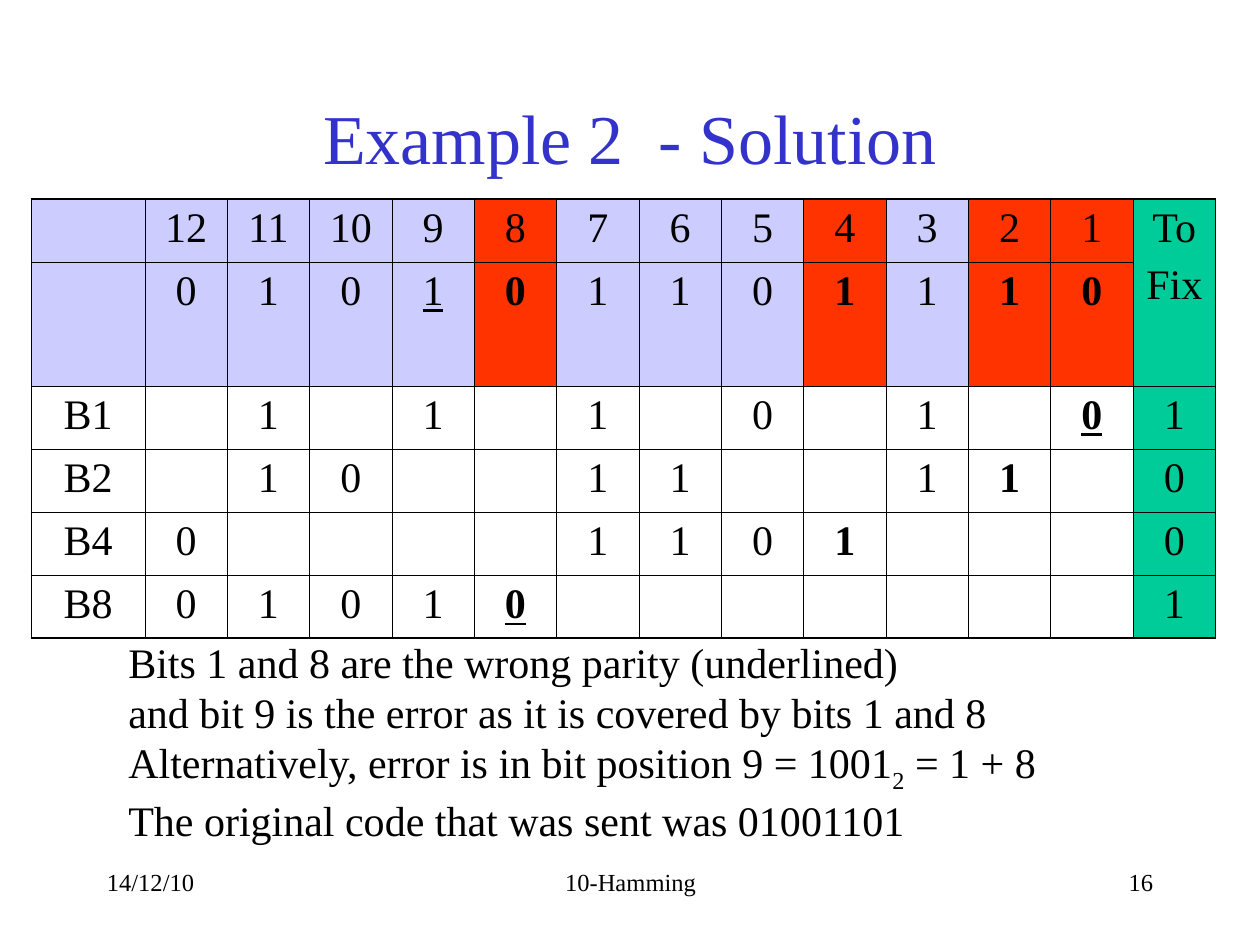
import lxml.etree
import pptx
import pptx.dml.color
import pptx.enum.text
import pptx.oxml.ns
import pptx.util

Inches = pptx.util.Inches
Pt = pptx.util.Pt
ALIGN = pptx.enum.text.PP_ALIGN
ANCHOR = pptx.enum.text.MSO_ANCHOR

FONT = "Times New Roman"
BLACK, TITLE_BLUE = "000000", "3333CC"
DATA_FILL, PARITY_FILL, FIX_FILL = "CCCCFF", "FF3300", "00CC99"
THIN, THICK = 0.45, 1.08

# One entry per column: row label, bits 12 to 1, parity result
CODE_ROWS = [
    ["", *map(str, range(12, 0, -1)), "To\nFix"],
    ["", *"010101101110", ""],
    ["B1", "", "1", "", "1", "", "1", "", "0", "", "1", "", "0", "1"],
    ["B2", "", "1", "0", "", "", "1", "1", "", "", "1", "1", "", "0"],
    ["B4", "0", "", "", "", "", "1", "1", "0", "1", "", "", "", "0"],
    ["B8", "0", "1", "0", "1", "0", "", "", "", "", "", "", "", "1"],
]
PARITY_COLUMNS = {13 - bit for bit in (8, 4, 2, 1)}
FIX_COLUMN = 13
UNDERLINED = {(1, 4), (2, 12), (5, 5)}  # wrong bit 9, wrong parity bits 1 and 8

EXPLANATION = [
    ["Bits 1 and 8 are the wrong parity (underlined)"],
    ["and bit 9 is the error as it is covered by bits 1 and 8"],
    ["Alternatively, error is in bit position 9 = 1001", "2", " = 1 + 8"],
    ["The original code that was sent was 01001101"],
]


def rgb(hex_colour):
    return pptx.dml.color.RGBColor.from_string(hex_colour)


def add_text(paragraph, text, size=24, colour=BLACK, align=ALIGN.LEFT,
             bold=False, underline=False, subscript=False):
    paragraph.alignment = align
    run = paragraph.add_run()
    run.text = text
    font = run.font
    font.name, font.size = FONT, Pt(size)
    font.bold, font.underline = bold, underline
    font.color.rgb = rgb(colour)
    if subscript:
        run._r.get_or_add_rPr().set("baseline", "-25000")


def add_box(slide, left, top, width, height, wrap=True):
    box = slide.shapes.add_textbox(Inches(left), Inches(top), Inches(width), Inches(height))
    box.text_frame.word_wrap = wrap
    return box.text_frame


def set_borders(cell, **widths):
    properties = cell._tc.get_or_add_tcPr()
    for side, width in widths.items():
        line = lxml.etree.SubElement(
            properties, pptx.oxml.ns.qn("a:ln" + side), w=str(int(Pt(width))))
        fill = lxml.etree.SubElement(line, pptx.oxml.ns.qn("a:solidFill"))
        lxml.etree.SubElement(fill, pptx.oxml.ns.qn("a:srgbClr"), val=BLACK)


def cell_fill(row, column):
    if column == FIX_COLUMN:
        return FIX_FILL
    if row > 1:
        return None
    return PARITY_FILL if column in PARITY_COLUMNS else DATA_FILL


def format_cell(cell, row, column):
    # Borders come before the fill in the cell properties
    set_borders(cell,
                L=THICK if column == 0 else THIN,
                R=THICK if column == FIX_COLUMN else THIN,
                T=THICK if row == 0 else THIN,
                B=THICK if row == len(CODE_ROWS) - 1 else THIN)
    fill = cell_fill(row, column)
    if fill:
        cell.fill.solid()
        cell.fill.fore_color.rgb = rgb(fill)
    else:
        cell.fill.background()


def add_code_table(slide):
    row_count, column_count = len(CODE_ROWS), len(CODE_ROWS[0])
    table = slide.shapes.add_table(row_count, column_count, Inches(0.25), Inches(1.58),
                                   Inches(9.4), Inches(3.48)).table
    table.first_row = table.horz_banding = False
    for index, column in enumerate(table.columns):
        column.width = Inches(0.9) if index == 0 else Inches(8.5 / (column_count - 1))
    for index, row in enumerate(table.rows):
        row.height = Inches(0.98 if index == 1 else 0.5)
    table.cell(0, FIX_COLUMN).merge(table.cell(1, FIX_COLUMN))

    for r, values in enumerate(CODE_ROWS):
        for c, value in enumerate(values):
            cell = table.cell(r, c)
            format_cell(cell, r, c)
            for index, line in enumerate(value.split("\n") if value else []):
                frame = cell.text_frame
                paragraph = frame.add_paragraph() if index else frame.paragraphs[0]
                if index:
                    paragraph.space_before = Pt(6)
                add_text(paragraph, line, align=ALIGN.CENTER,
                         bold=r > 0 and c in PARITY_COLUMNS,
                         underline=(r, c) in UNDERLINED)


def add_title(slide):
    title = slide.shapes.title
    title.left, title.top = Inches(0.75), Inches(0.67)
    title.width, title.height = Inches(8.5), Inches(0.83)
    title.text_frame.vertical_anchor = ANCHOR.MIDDLE
    add_text(title.text_frame.paragraphs[0], "Example 2  - Solution",
             size=40, colour=TITLE_BLUE, align=ALIGN.CENTER)


def add_explanation(slide):
    frame = add_box(slide, 0.92, 5, 7.42, 1.76, wrap=False)
    frame.auto_size = pptx.enum.text.MSO_AUTO_SIZE.SHAPE_TO_FIT_TEXT
    for index, parts in enumerate(EXPLANATION):
        paragraph = frame.add_paragraph() if index else frame.paragraphs[0]
        for part_index, part in enumerate(parts):
            add_text(paragraph, part, subscript=part_index == 1)


def add_footer(slide):
    for text, left, width, align in [
        ("14/12/10", 0.75, 2.08, ALIGN.LEFT),
        ("10-Hamming", 3.42, 3.17, ALIGN.CENTER),
        ("16", 7.17, 2.08, ALIGN.RIGHT),
    ]:
        frame = add_box(slide, left, 6.83, width, 0.5)
        add_text(frame.paragraphs[0], text, size=14, align=align)


def main():
    presentation = pptx.Presentation()
    presentation.slide_width, presentation.slide_height = Inches(10), Inches(7.5)
    slide = presentation.slides.add_slide(presentation.slide_layouts[5])
    add_footer(slide)
    add_title(slide)
    add_code_table(slide)
    add_explanation(slide)
    presentation.save("out.pptx")


if __name__ == "__main__":
    main()
